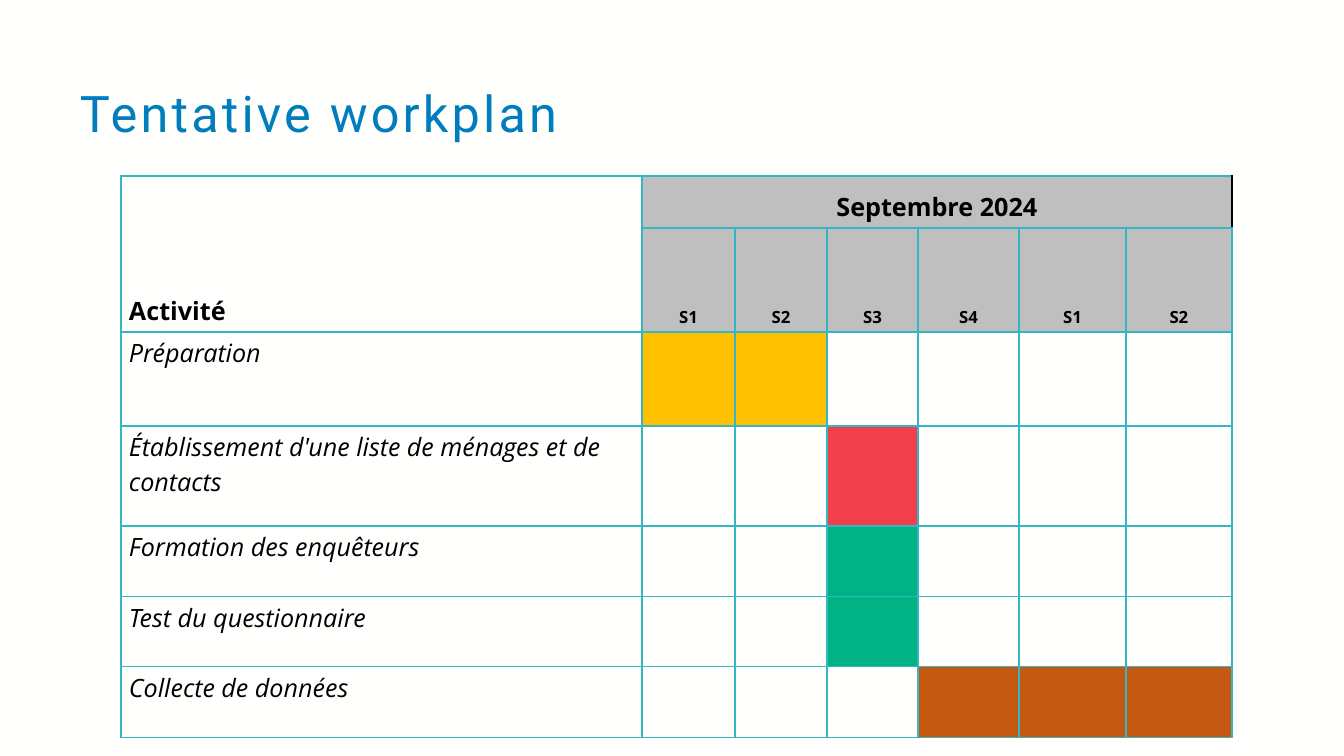
"""Build the tentative workplan slide with its weekly activity table."""
from lxml import etree
from pptx import Presentation
from pptx import util as u
from pptx.dml.color import RGBColor
from pptx.enum import text
from pptx.oxml.ns import qn

PX = 914400 / 100.8
COLORS = {
    "page": "FFFFFE", "title": "007DBC", "ink": "000000", "grid": "36B5C5",
    "header": "BFBFBF", "yellow": "FFC000", "red": "EF404C",
    "green": "00B385", "brown": "C45911",
}
COLUMN_WIDTHS = [521, 93, 92, 91, 101, 107, 106]
ROW_HEIGHTS = [52, 104, 94, 100, 71, 70, 71]
WEEKS = ["S1", "S2", "S3", "S4", "S1", "S2"]
ACTIVITIES = [
    ("Préparation", "yellow", [1, 2]),
    ("Établissement d'une liste de ménages et de contacts", "red", [3]),
    ("Formation des enquêteurs", "green", [3]),
    ("Test du questionnaire", "green", [3]),
    ("Collecte de données", "brown", [4, 5, 6]),
]


def px(length):
    """Turn pixels into EMU."""
    return u.Emu(round(length * PX))


def rgb(name):
    """Look up a named colour."""
    return RGBColor.from_string(COLORS[name])


def style_font(font, family, size, color, bold=False, italic=False):
    """Set every font property used on the slide."""
    font.name, font.size = family, u.Pt(size)
    font.bold, font.italic = bold, italic
    font.color.rgb = rgb(color)


def add_title(page, words):
    """Add the letter-spaced slide title."""
    box = page.shapes.add_textbox(px(70), px(80), px(1162), px(73))
    frame = box.text_frame
    frame.word_wrap = True
    frame.vertical_anchor = text.MSO_ANCHOR.MIDDLE
    para = frame.paragraphs[0]
    para.line_spacing = 0.9
    span = para.add_run()
    span.text = words
    style_font(para.font, "Roboto", 36, "title")
    span._r.get_or_add_rPr().set("spc", "230")


def draw_border(cell, side, color):
    """Draw one solid border of a cell."""
    line = etree.SubElement(cell._tc.get_or_add_tcPr(), qn(f"a:ln{side}"), w=str(u.Pt(1)))
    fill = etree.SubElement(line, qn("a:solidFill"))
    etree.SubElement(fill, qn("a:srgbClr"), val=COLORS[color])


def prepare_cell(cell, right_border="grid"):
    """Give a cell its borders, margins and empty fill."""
    for side in "LRTB":
        draw_border(cell, side, right_border if side == "R" else "grid")
    cell.margin_left = cell.margin_right = px(8)
    cell.margin_top = cell.margin_bottom = px(4)
    cell.fill.background()


def paint_cell(cell, color):
    """Fill a cell with a named colour."""
    cell.fill.solid()
    cell.fill.fore_color.rgb = rgb(color)


def write_header(cell, words, size, align=text.PP_ALIGN.CENTER):
    """Write a bold header at the bottom of a cell."""
    cell.vertical_anchor = text.MSO_ANCHOR.BOTTOM
    para = cell.text_frame.paragraphs[0]
    para.text = words
    para.alignment = align
    style_font(para.font, "Open Sans", size, "ink", bold=True)


def write_activity(table, row, name, color, weeks):
    """Write an activity and colour its weeks."""
    para = table.cell(row, 0).text_frame.paragraphs[0]
    para.text = name
    style_font(para.font, "Open Sans", 18, "ink", italic=True)
    for week in weeks:
        paint_cell(table.cell(row, week), color)


def add_workplan(page):
    """Add the activity table."""
    table = page.shapes.add_table(
        len(ROW_HEIGHTS), len(COLUMN_WIDTHS), px(121), px(176),
        px(sum(COLUMN_WIDTHS)), px(sum(ROW_HEIGHTS))).table
    table.first_row = table.horz_banding = False
    for column, width in zip(table.columns, COLUMN_WIDTHS):
        column.width = px(width)
    for row, height in zip(table.rows, ROW_HEIGHTS):
        row.height = px(height)
    last = len(WEEKS)
    for row in range(len(ROW_HEIGHTS)):
        for column in range(last + 1):
            edge = "ink" if row == 0 and column in (1, last) else "grid"
            prepare_cell(table.cell(row, column), edge)
    table.cell(0, 0).merge(table.cell(1, 0))
    table.cell(0, 1).merge(table.cell(0, last))
    write_header(table.cell(0, 0), "Activité", 18, text.PP_ALIGN.LEFT)
    write_header(table.cell(0, 1), "Septembre 2024", 18)
    paint_cell(table.cell(0, 1), "header")
    for column, week in enumerate(WEEKS, 1):
        write_header(table.cell(1, column), week, 12)
        paint_cell(table.cell(1, column), "header")
    for row, activity in enumerate(ACTIVITIES, 2):
        write_activity(table, row, *activity)


def main():
    """Build and save the deck."""
    deck = Presentation()
    deck.slide_width, deck.slide_height = px(1344), px(756)
    page = deck.slides.add_slide(deck.slide_layouts[6])
    page.background.fill.solid()
    page.background.fill.fore_color.rgb = rgb("page")
    add_title(page, "Tentative workplan")
    add_workplan(page)
    deck.save("out.pptx")


if __name__ == "__main__":
    main()
